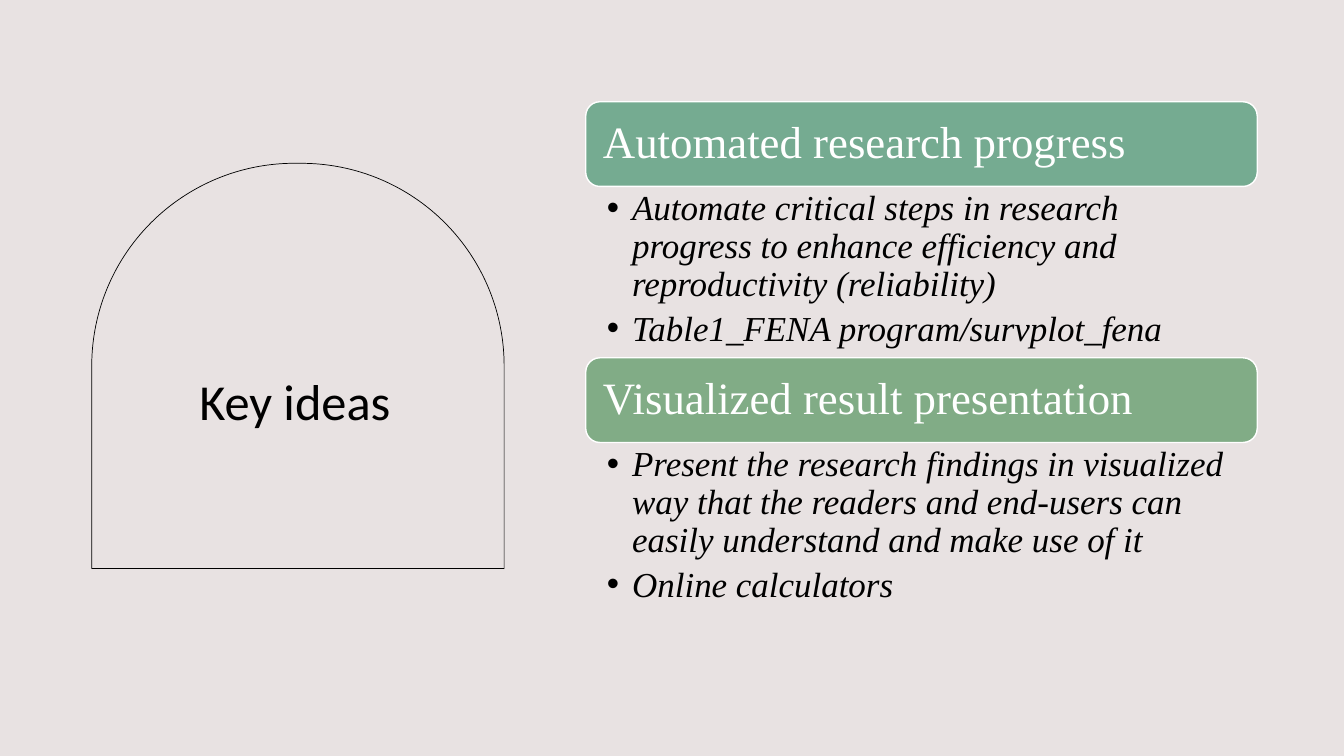
from pptx import Presentation
from pptx.dml.color import RGBColor
from pptx.enum.shapes import MSO_SHAPE as Shape
from pptx.enum.text import MSO_ANCHOR as Anchor, MSO_AUTO_SIZE as AutoSize, PP_ALIGN as Align
from pptx.oxml import parse_xml
from pptx.oxml.ns import nsdecls
from pptx.util import Inches, Pt

TITLE = "Key ideas"
SECTIONS = [
    {
        "heading": "Automated research progress",
        "color": "75AB91",
        "points": [
            "Automate critical steps in research progress to enhance efficiency "
            "and reproductivity (reliability)",
            "Table1_FENA program/survplot_fena",
        ],
        "points_height": 1.7,
    },
    {
        "heading": "Visualized result presentation",
        "color": "81AC86",
        "points": [
            "Present the research findings in visualized way that the readers "
            "and end-users can easily understand and make use of it",
            "Online calculators",
        ],
        "points_height": 2.06,
    },
]
SERIF = "Times New Roman"
LEFT, TOP, WIDTH, BAR_HEIGHT = 5.81, 1.01, 6.66, 0.84


def rgb(value):
    return RGBColor.from_string(value)


def place(shape, left, top, width, height):
    shape.left, shape.top = Inches(left), Inches(top)
    shape.width, shape.height = Inches(width), Inches(height)


def set_insets(frame, left, top, right, bottom):
    frame.margin_left, frame.margin_top = Inches(left), Inches(top)
    frame.margin_right, frame.margin_bottom = Inches(right), Inches(bottom)
    frame.word_wrap = True
    frame.auto_size = AutoSize.NONE


def format_paragraph(paragraph, font_name, size, color, align=Align.LEFT, after=0, italic=False):
    paragraph.alignment = align
    paragraph.line_spacing = 0.9
    paragraph.space_before = Pt(0)
    paragraph.space_after = Pt(after)
    font = paragraph.font
    font.name, font.size, font.italic = font_name, Pt(size), italic
    font.color.rgb = rgb(color)


def add_bullet(paragraph):
    properties = paragraph._p.get_or_add_pPr()
    properties.set("marL", str(Inches(0.25)))
    properties.set("indent", str(Inches(-0.25)))
    bullet = parse_xml(f'<a:buChar {nsdecls("a")} char="•"/>')
    properties.insert_element_before(bullet, "a:tabLst", "a:defRPr", "a:extLst")


def add_heading(slide, section, top):
    bar = slide.shapes.add_shape(
        Shape.ROUNDED_RECTANGLE, Inches(LEFT), Inches(top), Inches(WIDTH), Inches(BAR_HEIGHT))
    bar.shadow.inherit = False
    bar.fill.solid()
    bar.fill.fore_color.rgb = rgb(section["color"])
    bar.line.color.rgb = rgb("FFFFFF")
    bar.line.width = Pt(1)
    frame = bar.text_frame
    set_insets(frame, 0.13, 0.13, 0.13, 0.13)
    frame.vertical_anchor = Anchor.MIDDLE
    frame.text = section["heading"]
    format_paragraph(frame.paragraphs[0], SERIF, 32, "FFFFFF")


def fill_points(body, section, top):
    place(body, LEFT, top, WIDTH, section["points_height"])
    frame = body.text_frame
    set_insets(frame, 0.21, 0.04, 0.25, 0.04)
    frame.vertical_anchor = Anchor.TOP
    frame.text = "\n".join(section["points"])
    for paragraph in frame.paragraphs:
        format_paragraph(paragraph, SERIF, 25, "000000", after=5, italic=True)
        add_bullet(paragraph)


def main():
    deck = Presentation()
    deck.slide_width, deck.slide_height = Inches(13.33), Inches(7.5)
    slide = deck.slides.add_slide(deck.slide_layouts[3])
    slide.background.fill.solid()
    slide.background.fill.fore_color.rgb = rgb("E8E2E2")

    title = slide.shapes.title
    place(title, 1.17, 2.71, 3.51, 2.61)
    title.text_frame.text = TITLE
    title.text_frame.vertical_anchor = Anchor.MIDDLE
    title.text_frame.auto_size = AutoSize.NONE
    format_paragraph(title.text_frame.paragraphs[0], "Calibri", 36, "000000", Align.CENTER)

    arch = slide.shapes.add_shape(
        Shape.ROUND_2_SAME_RECTANGLE, Inches(0.91), Inches(1.62), Inches(4.09), Inches(4.02))
    arch.adjustments[0] = 0.5
    arch.shadow.inherit = False
    arch.fill.background()
    arch.line.color.rgb = rgb("000000")
    arch.line.width = Pt(0.5)

    top = TOP
    for index, section in enumerate(SECTIONS, start=1):
        add_heading(slide, section, top)
        fill_points(slide.placeholders[index], section, top + BAR_HEIGHT)
        top += BAR_HEIGHT + section["points_height"]

    deck.save("out.pptx")


if __name__ == "__main__":
    main()
